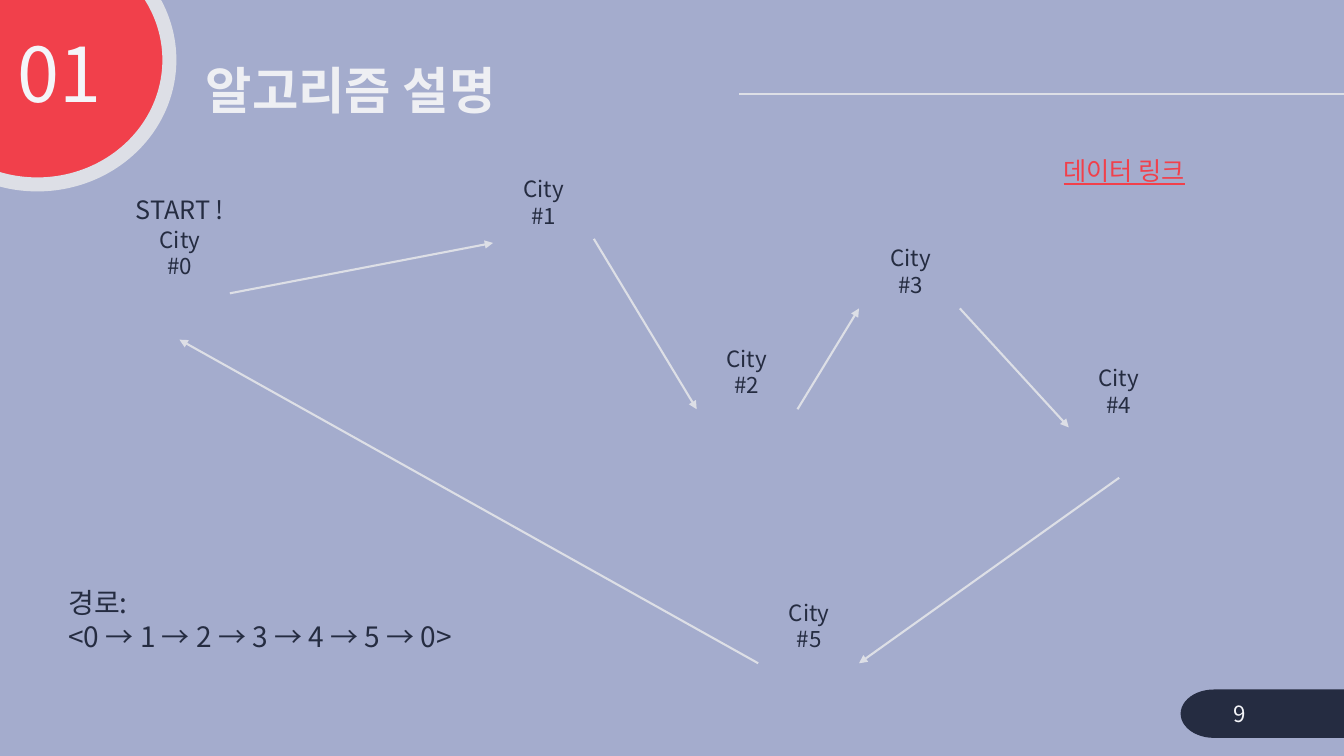
import pptx
import pptx.dml.color
import pptx.enum.shapes
import pptx.enum.text
import pptx.oxml.ns
import pptx.util
from lxml import etree

Inches = pptx.util.Inches
RGBColor = pptx.dml.color.RGBColor
Align = pptx.enum.text.PP_ALIGN
Anchor = pptx.enum.text.MSO_ANCHOR
Shape = pptx.enum.shapes.MSO_SHAPE
qn = pptx.oxml.ns.qn

FONT = "Noto Sans CJK KR"
PERIWINKLE = RGBColor(0xA4, 0xAC, 0xCD)
SILVER = RGBColor(0xDD, 0xDF, 0xE6)
RED = RGBColor(0xF1, 0x40, 0x4B)
NAVY = RGBColor(0x25, 0x2C, 0x41)
TITLE_WHITE = RGBColor(0xEE, 0xEF, 0xF3)
WHITE = RGBColor(0xF4, 0xF5, 0xF9)

# City number: left, top and width of its label
CITIES = {
    0: (1.41, 2.19, 0.75),
    1: (5.03, 1.69, 0.72),
    2: (7.04, 3.37, 0.73),
    3: (8.66, 2.37, 0.74),
    4: (10.72, 3.56, 0.75),
    5: (7.65, 5.89, 0.75),
}
# Legs of the tour, in travelling order
LEGS = [
    ((2.28, 2.91), (4.89, 2.41)),
    ((5.89, 2.37), (6.91, 4.06)),
    ((7.91, 4.06), (8.52, 3.06)),
    ((9.52, 3.06), (10.6, 4.24)),
    ((11.1, 4.74), (8.52, 6.58)),
    ((7.52, 6.58), (1.78, 3.37)),
]


def write_lines(frame, lines, size, color, align=Align.LEFT, spacing=None, **extra):
    style = {"size": pptx.util.Pt(size), "name": FONT, **extra}
    for index, line in enumerate(lines):
        paragraph = frame.paragraphs[0] if index == 0 else frame.add_paragraph()
        layout = {"alignment": align, "line_spacing": spacing,
                  "space_before": pptx.util.Pt(0)}
        for key, value in layout.items():
            setattr(paragraph, key, value)
        run = paragraph.add_run()
        run.text = line
        for key, value in style.items():
            setattr(run.font, key, value)
        run.font.color.rgb = color
        east_asian = etree.SubElement(run.font._element, qn("a:ea"))
        east_asian.set("typeface", FONT)


def add_label(slide, box, lines, size, color, wrap=True, anchor=Anchor.TOP, **style):
    label = slide.shapes.add_textbox(*map(Inches, box))
    label.text_frame.word_wrap = wrap
    label.text_frame.vertical_anchor = anchor
    write_lines(label.text_frame, lines, size, color, **style)


def fill_placeholder(slide, placeholder, box, text, size, color, anchor, **style):
    # Bring the placeholder in front of the decoration
    slide.shapes._spTree.append(placeholder._element)
    for side, length in zip(("left", "top", "width", "height"), box):
        setattr(placeholder, side, Inches(length))
    frame = placeholder.text_frame
    frame.auto_size = pptx.enum.text.MSO_AUTO_SIZE.NONE
    frame.vertical_anchor = anchor
    properties = frame.paragraphs[0]._p.get_or_add_pPr()
    properties.set("marL", "0")
    properties.set("indent", "0")
    etree.SubElement(properties, qn("a:buNone"))
    write_lines(frame, [text], size, color, spacing=0.9, **style)


def add_plate(slide, kind, box, fill, outline=None):
    plate = slide.shapes.add_shape(kind, *map(Inches, box))
    plate.shadow.inherit = False
    plate.fill.solid()
    plate.fill.fore_color.rgb = fill
    if outline is None:
        plate.line.fill.background()
    else:
        plate.line.color.rgb = outline
        plate.line.width = pptx.util.Pt(10)


def add_line(slide, start, end, arrow=False):
    line = slide.shapes.add_connector(
        pptx.enum.shapes.MSO_CONNECTOR.STRAIGHT, *map(Inches, start + end))
    line.line.color.rgb = SILVER
    line.line.width = pptx.util.Pt(1.5)
    if arrow:
        etree.SubElement(line.line._get_or_add_ln(), qn("a:tailEnd")).set("type", "triangle")
    etree.SubElement(line._element.spPr, qn("a:effectLst"))


def main():
    deck = pptx.Presentation()
    deck.slide_width, deck.slide_height = Inches(13.33), Inches(7.5)
    slide = deck.slides.add_slide(deck.slide_layouts[1])
    slide.background.fill.solid()
    slide.background.fill.fore_color.rgb = PERIWINKLE

    # Decoration
    add_line(slide, (7.33, 0.93), (13.33, 0.93))
    add_plate(slide, Shape.OVAL, (-0.94, -0.64, 2.62, 2.47), RED, SILVER)
    add_plate(slide, Shape.FLOWCHART_TERMINATOR, (11.71, 6.84, 2.05, 0.48), NAVY)

    # Heading, section number and page number
    fill_placeholder(slide, slide.shapes.title, (1.94, 0.59, 5.39, 0.67),
                     "알고리즘 설명", 36, TITLE_WHITE, Anchor.MIDDLE, bold=True)
    fill_placeholder(slide, slide.placeholders[1], (-0.11, 0.32, 1.22, 0.92),
                     "01", 54, WHITE, Anchor.TOP, align=Align.RIGHT)
    add_label(slide, (12.14, 6.88, 1.09, 0.4), ["9"], 16, WHITE, anchor=Anchor.MIDDLE)

    # Cities and the tour between them
    for number, (left, top, width) in CITIES.items():
        add_label(slide, (left, top, width, 0.37), [f"City #{number}"], 16, NAVY,
                  align=Align.CENTER)
    for start, end in LEGS:
        add_line(slide, start, end, arrow=True)

    # Notes around the map
    add_label(slide, (1.17, 1.88, 1.23, 0.4), ["START !"], 18, NAVY, wrap=False,
              align=Align.CENTER)
    tour = " → ".join(map(str, [*CITIES, 0]))
    add_label(slide, (0.58, 5.76, 4.13, 0.77), ["경로:", f"<{tour}>"], 20, NAVY, wrap=False)
    add_label(slide, (10.45, 1.49, 1.69, 0.4), ["데이터 링크"], 18, RED, underline=True)

    deck.save("out.pptx")


if __name__ == "__main__":
    main()
